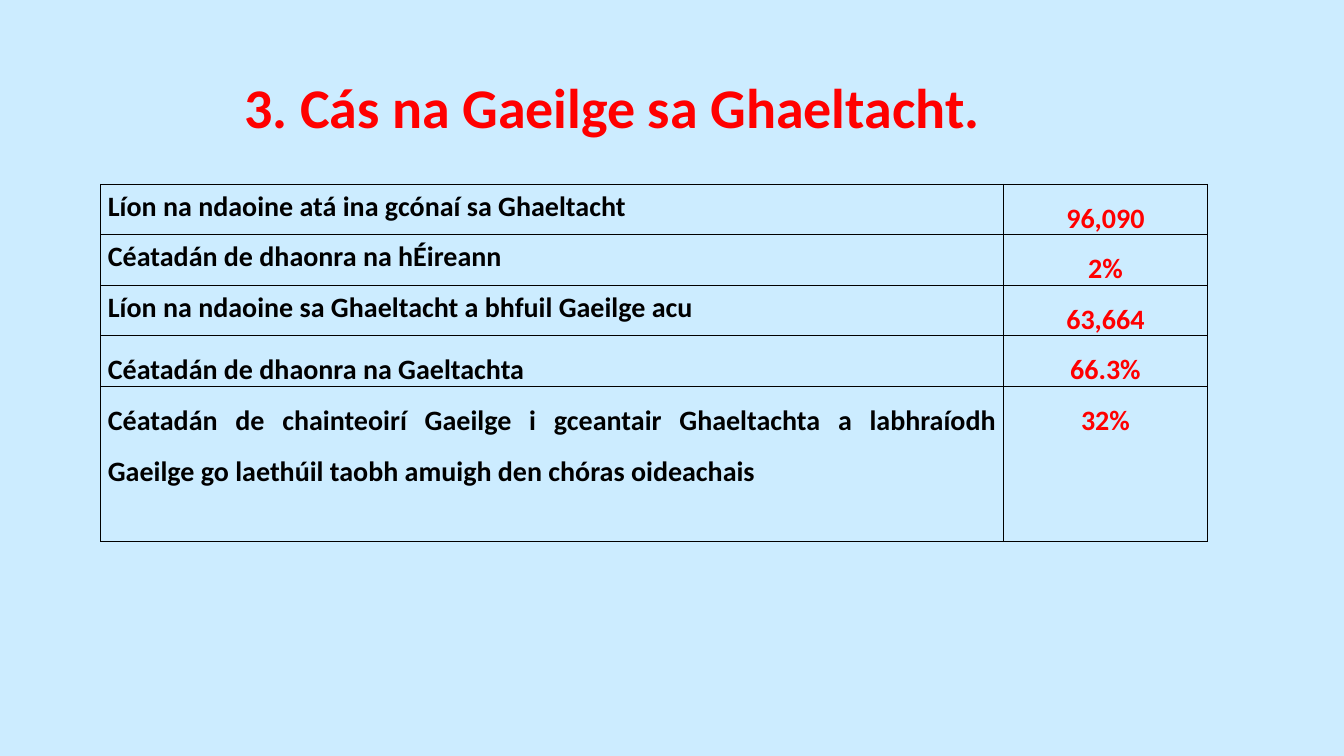
from lxml import etree
from pptx import Presentation
from pptx import util as u
from pptx.dml.color import RGBColor
from pptx.enum import text
from pptx.oxml.ns import qn

THEME = {
    "background": "CCECFF", "accent": "FF0000", "ink": "000000",
    "font": "Calibri", "title_size": 40, "body_size": 20, "border_width": 1,
}
ALIGN = text.PP_ALIGN


def write(tf, content, size, color, align, spacing):
    p = tf.paragraphs[0]
    p.alignment, p.line_spacing = align, spacing
    p.space_before, p.space_after = u.Pt(0), u.Pt(8)
    r = p.add_run()
    r.text = content
    r.font.name, r.font.size, r.font.bold = THEME["font"], u.Pt(size), True
    r.font.color.rgb = RGBColor.from_string(color)


def add_borders(cell):
    tc_pr = cell._tc.get_or_add_tcPr()
    for side in ("lnL", "lnR", "lnT", "lnB"):
        ln = etree.SubElement(tc_pr, qn(f"a:{side}"), w=str(u.Pt(THEME["border_width"])))
        fill = etree.SubElement(ln, qn("a:solidFill"))
        etree.SubElement(fill, qn("a:srgbClr"), val=THEME["ink"])


prs = Presentation()
prs.slide_width, prs.slide_height = u.Inches(13.33), u.Inches(7.5)
s = prs.slides.add_slide(prs.slide_layouts[5])
s.background.fill.solid()
s.background.fill.fore_color.rgb = RGBColor.from_string(THEME["background"])

title = s.shapes.title
title.left, title.top = u.Inches(1.79), u.Inches(0.34)
title.width, title.height = u.Inches(8.56), u.Inches(1.01)
tf = title.text_frame
tf.word_wrap = True
tf.auto_size = text.MSO_AUTO_SIZE.SHAPE_TO_FIT_TEXT
tf.vertical_anchor = text.MSO_ANCHOR.TOP
write(tf, "3. Cás na Gaeilge sa Ghaeltacht.", THEME["title_size"], THEME["accent"],
      align=ALIGN.CENTER, spacing=1.5)

# Label, label line spacing, figure
statistics = [
    ("Líon na ndaoine atá ina gcónaí sa Ghaeltacht", 1.15, "96,090"),
    ("Céatadán de dhaonra na hÉireann", 1.15, "2%"),
    ("Líon na ndaoine sa Ghaeltacht a bhfuil Gaeilge acu", 1.15, "63,664"),
    ("Céatadán de dhaonra na Gaeltachta", 1.5, "66.3%"),
    ("Céatadán de chainteoirí Gaeilge i gceantair Ghaeltachta a labhraíodh "
     "Gaeilge go laethúil taobh amuigh den chóras oideachais", 1.5, "32%"),
]
column_widths = [8.95, 2.03]
row_heights = [0.48] * 4 + [1.54]

table = s.shapes.add_table(
    len(row_heights), len(column_widths), u.Inches(1), u.Inches(1.83),
    u.Inches(sum(column_widths)), u.Inches(sum(row_heights))).table
table.first_row = table.horz_banding = False
for column, width in zip(table.columns, column_widths):
    column.width = u.Inches(width)
for row, height, (label, label_spacing, figure) in zip(table.rows, row_heights, statistics):
    row.height = u.Inches(height)
    for cell in row.cells:
        cell.margin_left = cell.margin_right = u.Inches(0.07)
        cell.margin_top = cell.margin_bottom = 0
        add_borders(cell)
        cell.fill.background()
    write(row.cells[0].text_frame, label, THEME["body_size"], THEME["ink"],
          align=ALIGN.JUSTIFY, spacing=label_spacing)
    write(row.cells[1].text_frame, figure, THEME["body_size"], THEME["accent"],
          align=ALIGN.CENTER, spacing=1.5)

prs.save("out.pptx")
